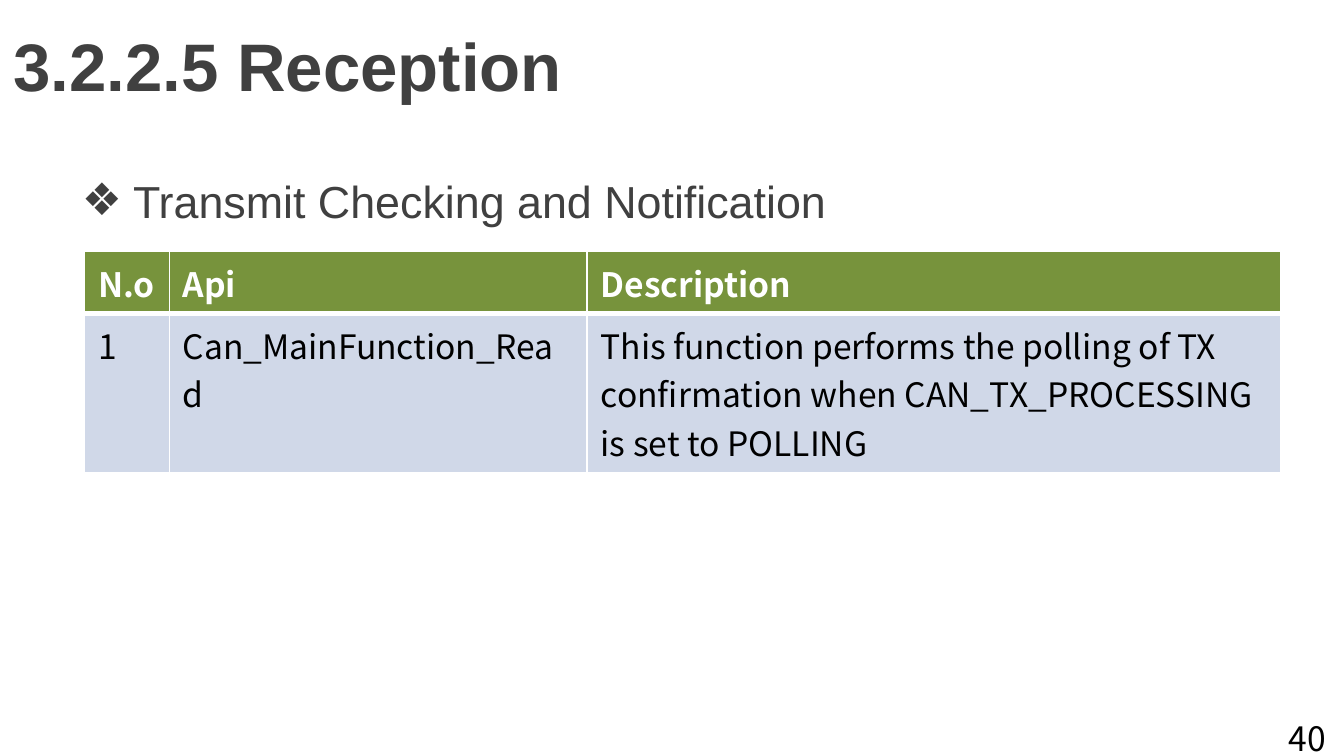
import pptx
import pptx.util
from lxml import etree
from pptx.dml.color import RGBColor
from pptx.enum.text import MSO_ANCHOR, MSO_AUTO_SIZE, PP_ALIGN
from pptx.oxml.ns import qn
from pptx.util import Inches, Pt

TITLE = "3.2.2.5 Reception"
BULLET = "Transmit Checking and Notification"
PAGE = "40"
ROWS = [
    ("N.o", "Api", "Description"),
    ("1", "Can_MainFunction_Read",
     "This function performs the polling of TX confirmation when "
     "CAN_TX_PROCESSING is set to POLLING"),
]
COL_WIDTHS = (0.63, 3.11, 5.16)
ROW_HEIGHTS = (0.39, 0.56)

GREY = RGBColor(0x40, 0x40, 0x40)
BLACK = RGBColor(0, 0, 0)
WHITE = RGBColor(0xFF, 0xFF, 0xFF)
GREEN = RGBColor(0x77, 0x93, 0x3C)
PALE_BLUE = RGBColor(0xD0, 0xD8, 0xE8)
HEADING_FONT = "Arial"
TABLE_FONT = "Noto Sans CJK KR"


def put_text(tf, text, size=18, font=TABLE_FONT, color=BLACK, bold=False,
             align=PP_ALIGN.LEFT, anchor=MSO_ANCHOR.TOP):
    tf.word_wrap = True
    tf.vertical_anchor = anchor
    p = tf.paragraphs[0]
    p.alignment = align
    r = p.add_run()
    r.text = text
    r.font.size = Pt(size)
    r.font.name = font
    r.font.bold = bold
    r.font.color.rgb = color
    return p


def place(sp, left, top, width, height):
    sp.left, sp.top = Inches(left), Inches(top)
    sp.width, sp.height = Inches(width), Inches(height)
    sp.text_frame.auto_size = MSO_AUTO_SIZE.NONE


def add_bullet(p, char, indent):
    pPr = p._p.get_or_add_pPr()
    pPr.set("marL", str(Inches(indent)))
    pPr.set("indent", str(-Inches(indent)))
    before = etree.SubElement(pPr, qn("a:spcBef"))
    etree.SubElement(before, qn("a:spcPct")).set("val", "20000")
    etree.SubElement(pPr, qn("a:buFont")).set("typeface", HEADING_FONT)
    etree.SubElement(pPr, qn("a:buChar")).set("char", char)


def set_borders(cell, widths):
    """Draw white cell borders; widths maps a side (L, R, T, B) to points."""
    tcPr = cell._tc.get_or_add_tcPr()
    for i, (side, width) in enumerate(widths.items()):
        ln = etree.Element(qn(f"a:ln{side}"), w=str(Pt(width)))
        fill = etree.SubElement(ln, qn("a:solidFill"))
        etree.SubElement(fill, qn("a:srgbClr")).set("val", str(WHITE))
        tcPr.insert(i, ln)


def main():
    prs = pptx.Presentation()
    prs.slide_width = Inches(10)
    prs.slide_height = prs.slide_width * 9 // 16
    s = prs.slides.add_slide(prs.slide_layouts[1])

    title, body = s.placeholders
    place(title, 0, 0, 10, 0.96)
    put_text(title.text_frame, TITLE, size=36, font=HEADING_FONT, color=GREY,
             bold=True, anchor=MSO_ANCHOR.MIDDLE)

    place(body, 0.51, 1.24, 8.5, 4.05)
    p = put_text(body.text_frame, BULLET, size=24, font=HEADING_FONT,
                 color=GREY, align=PP_ALIGN.JUSTIFY)
    add_bullet(p, "❖", 0.38)

    page = s.shapes.add_textbox(0, 0, 0, 0)
    place(page, 9.49, 5.29, 0.51, 0.3)
    put_text(page.text_frame, PAGE)

    table = s.shapes.add_table(
        len(ROWS), len(COL_WIDTHS), Inches(0.63), Inches(1.87),
        Inches(sum(COL_WIDTHS)), Inches(sum(ROW_HEIGHTS))).table
    for col, width in zip(table.columns, COL_WIDTHS):
        col.width = Inches(width)
    for row, height, texts in zip(table.rows, ROW_HEIGHTS, ROWS):
        row.height = Inches(height)
        header = texts is ROWS[0]
        for cell, text in zip(row.cells, texts):
            put_text(cell.text_frame, text, bold=header,
                     color=WHITE if header else BLACK)
            cell.fill.solid()
            cell.fill.fore_color.rgb = GREEN if header else PALE_BLUE
            top, bottom = (1, 3) if header else (3, 1)
            set_borders(cell, {"L": 1, "R": 1, "T": top, "B": bottom})

    prs.save("out.pptx")


if __name__ == "__main__":
    main()
